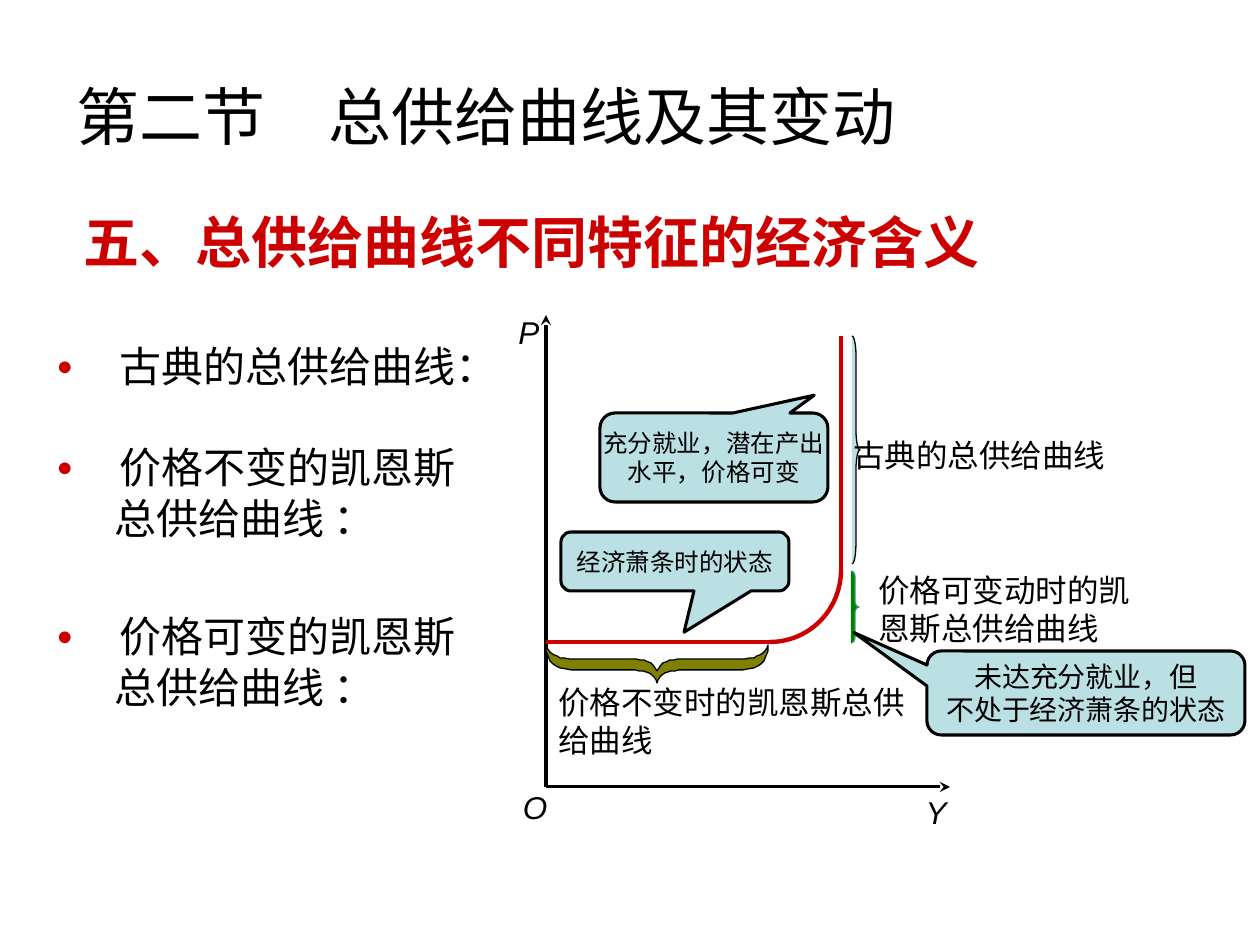
from lxml import etree
from pptx import Presentation
from pptx.dml.color import RGBColor
from pptx.enum.shapes import MSO_CONNECTOR, MSO_SHAPE
from pptx.enum.text import MSO_ANCHOR, MSO_AUTO_SIZE, PP_ALIGN
from pptx.oxml.ns import qn
from pptx.util import Emu, Inches, Pt

LINE = MSO_CONNECTOR.STRAIGHT
CALLOUT = MSO_SHAPE.ROUNDED_RECTANGULAR_CALLOUT
BRACE, ARC = MSO_SHAPE.RIGHT_BRACE, MSO_SHAPE.ARC
LEFT, CENTER = PP_ALIGN.LEFT, PP_ALIGN.CENTER
TOP, MIDDLE = MSO_ANCHOR.TOP, MSO_ANCHOR.MIDDLE
NO_FIT = MSO_AUTO_SIZE.NONE

PX = 914400 / 126
LATIN, CJK = "Arial", "Noto Sans CJK SC"
RED, BLACK, PALE = "CC0000", "000000", "BBE0E3"


def px(n):
    return Emu(round(n * PX))


def color(value):
    return RGBColor.from_string(value)


def sub(parent, tag, **attrs):
    return etree.SubElement(parent, qn(tag), attrs)


def write(p, text, size=18, fill=BLACK, font=LATIN, bold=False, italic=False,
          align=LEFT, before=0, indent=0, hang=0, bullet=False, tab=None):
    """Fill one paragraph with text and format it."""
    pPr = p._p.get_or_add_pPr()
    pPr.set("marL", str(px(indent)))
    pPr.set("indent", str(-px(hang)))
    if bullet:
        sub(sub(pPr, "a:buClr"), "a:srgbClr", val=RED)
        sub(pPr, "a:buSzPct", val="65000")
        sub(pPr, "a:buFont", typeface=LATIN)
        sub(pPr, "a:buChar", char="●")
    else:
        sub(pPr, "a:buNone")
    if tab:
        sub(sub(pPr, "a:tabLst"), "a:tab", pos=str(px(tab)), algn="l")
    p.alignment = align
    p.line_spacing = Pt(round(size * 1.2, 1))
    p.space_before, p.space_after = Pt(before), Pt(0)
    r = p.add_run()
    r.text = text
    f = r.font
    f.name, f.size, f.bold, f.italic = font, Pt(size), bold, italic
    f.color.rgb = color(fill)
    sub(r._r.get_or_add_rPr(), "a:ea", typeface=CJK)


def bezier(a, b, c, d, steps=10):
    """Points along a cubic curve."""
    points = []
    for i in range(steps + 1):
        t = i / steps
        u = 1 - t
        weights = (u ** 3, 3 * u * u * t, 3 * u * t * t, t ** 3)
        points.append(tuple(sum(w * q[k] for w, q in zip(weights, (a, b, c, d)))
                            for k in (0, 1)))
    return points


class Board:
    def __init__(self, s):
        self.s = s

    def place(self, sp, box):
        sp.left, sp.top, sp.width, sp.height = map(px, box)

    def paint(self, sp, fill, line, width):
        sp.shadow.inherit = False
        if fill:
            sp.fill.solid()
            sp.fill.fore_color.rgb = color(fill)
        else:
            sp.fill.background()
        sp.line.color.rgb = color(line)
        sp.line.width = Pt(width)

    def lines(self, sp, texts, wrap=False, anchor=TOP, **fmt):
        tf = sp.text_frame
        tf.word_wrap, tf.auto_size, tf.vertical_anchor = wrap, NO_FIT, anchor
        for i, text in enumerate(texts):
            write(tf.paragraphs[0] if i == 0 else tf.add_paragraph(), text, **fmt)

    def title(self, box, text, **fmt):
        sp = self.s.shapes.title
        self.place(sp, box)
        self.lines(sp, [text], wrap=True, anchor=MIDDLE, **fmt)

    def body(self, box, items):
        sp = self.s.placeholders[1]
        self.place(sp, box)
        tf = sp.text_frame
        tf.word_wrap, tf.auto_size, tf.margin_top = True, NO_FIT, px(12)
        for i, (text, fmt) in enumerate(items):
            write(tf.paragraphs[0] if i == 0 else tf.add_paragraph(), text, **fmt)

    def label(self, box, *texts, **fmt):
        self.lines(self.s.shapes.add_textbox(*map(px, box)), texts, **fmt)

    def line(self, x1, y1, x2, y2, stroke=BLACK, width=1.75, arrow=False):
        c = self.s.shapes.add_connector(LINE, px(x1), px(y1), px(x2), px(y2))
        c.line.color.rgb = color(stroke)
        c.line.width = Pt(width)
        if arrow:
            sub(c.line._get_or_add_ln(), "a:tailEnd", type="stealth")
        sub(c._element.spPr, "a:effectLst")

    def shape(self, kind, box, adj, fill=None, line=BLACK, width=0.75):
        sp = self.s.shapes.add_shape(kind, *map(px, box))
        for i, value in enumerate(adj):
            sp.adjustments[i] = value
        self.paint(sp, fill, line, width)
        return sp

    def callout(self, box, tip, *texts, size=14):
        sp = self.shape(CALLOUT, box, (*tip, 0.17), PALE, width=1.75)
        self.lines(sp, texts, anchor=MIDDLE, size=size, align=CENTER)

    def outline(self, points, fill, line=BLACK, width=0.75):
        fb = self.s.shapes.build_freeform(*map(round, points[0]), scale=PX)
        fb.add_line_segments([tuple(map(round, q)) for q in points[1:]], close=True)
        self.paint(fb.convert_to_shape(), fill, line, width)


def main():
    prs = Presentation()
    prs.slide_width, prs.slide_height = Inches(10), Inches(7.5)
    b = Board(prs.slides.add_slide(prs.slide_layouts[1]))

    # Title, heading and list
    b.title((64, 45, 1134, 141), "第二节\t总供给曲线及其变动", size=36, font=CJK, tab=233)
    item = dict(size=24, indent=63, hang=63, bullet=True)
    more = dict(size=24, indent=58)
    b.body((44, 195, 1201, 585), [
        ("五、总供给曲线不同特征的经济含义", dict(size=32, fill=RED, bold=True, indent=27)),
        ("古典的总供给曲线：", dict(item, before=38)),
        ("价格不变的凯恩斯", dict(item, before=29)),
        ("总供给曲线 ：", more),
        ("价格可变的凯恩斯", dict(item, before=39)),
        ("总供给曲线 ：", more),
    ])

    # Axes
    b.line(546, 787, 950, 787, arrow=True)
    b.line(546, 787, 546, 315, arrow=True)
    for name, x, y in (("O", 487, 789), ("Y", 888, 794), ("P", 481, 314)):
        b.label((x, y, 96, 36), name, italic=True, align=CENTER, anchor=MIDDLE)

    # Supply curve: flat, rising (quarter arc) and vertical parts
    b.line(546, 642, 770, 642, RED, 2.5)
    b.shape(ARC, (699, 498, 142, 144), (0, 54), line=RED, width=2.5)
    b.line(841, 570, 841, 336, RED, 2.5)

    # Brace under the flat part, mirrored about its tip
    upper = (bezier((546, 645), (548, 657), (562, 659), (578, 659))
             + bezier((621, 659), (640, 659), (652, 659), (657, 671)))
    lower = (bezier((657, 683), (653, 671), (642, 670), (626, 670))
             + bezier((585, 670), (560, 670), (546, 668), (546, 645)))
    right = [[(1314 - x, y) for x, y in reversed(half)] for half in (upper, lower)]
    b.outline(upper + right[0] + right[1] + lower, "808000")
    b.label((546, 677, 393, 88), "价格不变时的凯恩斯总供给曲线", wrap=True)

    # Braces beside the rising and vertical parts
    b.shape(BRACE, (851, 571, 8, 72), (0.7, 0.5), "008000", "339966")
    b.label((866, 565, 277, 88), "价格可变动时的凯", "恩斯总供给曲线")
    b.shape(BRACE, (852, 336, 8, 228), (2.5, 0.5), PALE)
    b.label((841, 430, 277, 50), "古典的总供给曲线")

    # Callouts
    b.callout((600, 413, 228, 89), (0.44, -0.7), "充分就业，潜在产出", "水平，价格可变")
    b.callout((561, 532, 228, 59), (0.04, 1.2), "经济萧条时的状态")
    b.callout((927, 651, 318, 84), (-0.73, -0.72),
              "未达充分就业，但", "不处于经济萧条的状态", size=16)

    prs.save("out.pptx")


if __name__ == "__main__":
    main()
